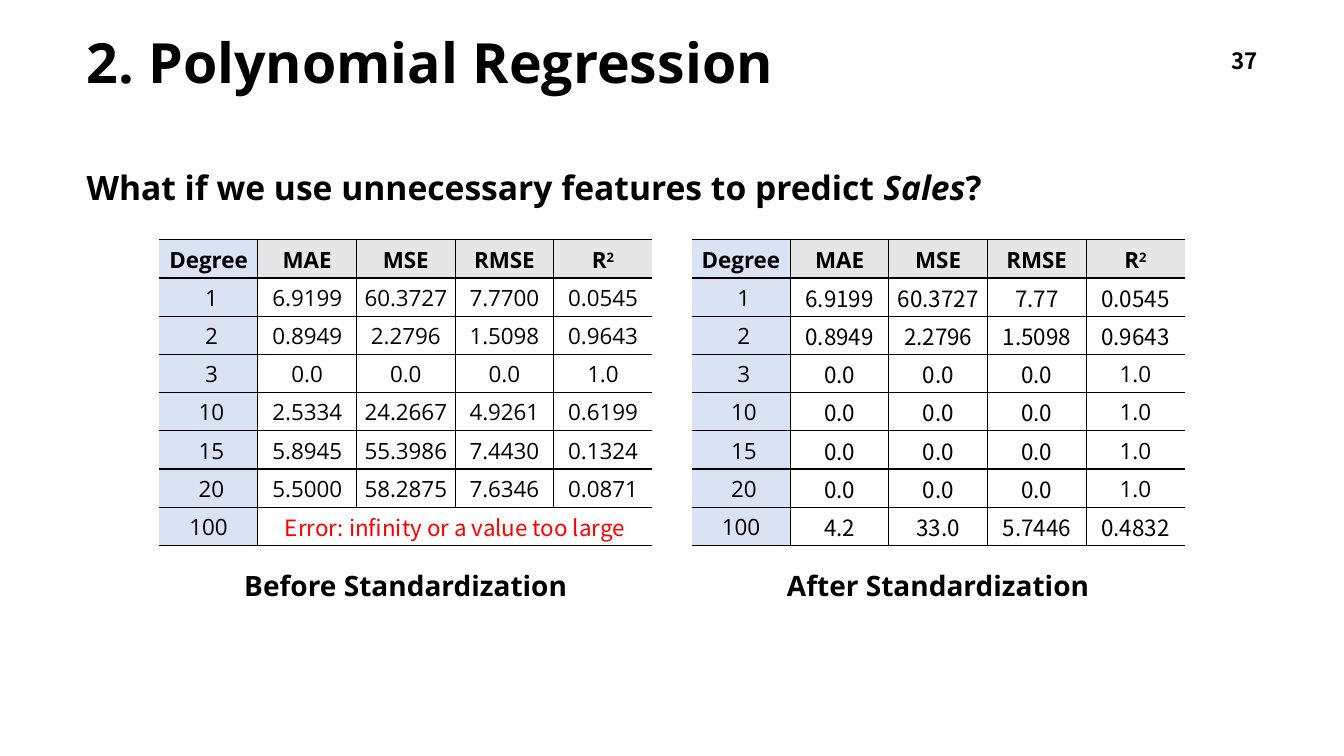
from lxml.etree import SubElement
from pptx import Presentation
from pptx.dml.color import RGBColor
from pptx.enum.text import MSO_ANCHOR, PP_ALIGN
from pptx.oxml.ns import qn
from pptx.util import Inches, Pt

COLORS = {"ink": "000000", "error": "FF0000", "degree": "DAE3F3", "head": "E7E6E6", "plain": "FFFFFF"}
OPEN, NOTO = "Open Sans", "Noto Sans CJK KR"
HEADS = ["Degree", "MAE", "MSE", "RMSE", "R2"]
ERROR = "Error: infinity or a value too large"
BEFORE = [
    [" 1", "6.9199", "60.3727", "7.7700", "0.0545"],
    [" 2", "0.8949", "2.2796", "1.5098", "0.9643"],
    [" 3", "0.0", "0.0", "0.0", "1.0"],
    [" 10", "2.5334", "24.2667", "4.9261", "0.6199"],
    [" 15", "5.8945", "55.3986", "7.4430", "0.1324"],
    [" 20", "5.5000", "58.2875", "7.6346", "0.0871"],
    ["100", ERROR, "", "", ""],
]
AFTER = [
    [" 1", "6.9199", "60.3727", "7.77", "0.0545"],
    [" 2", "0.8949", "2.2796", "1.5098", "0.9643"],
    *[[degree, "0.0", "0.0", "0.0", "1.0"] for degree in (" 3", " 10", " 15", " 20")],
    ["100", "4.2", "33.0", "5.7446", "0.4832"],
]


class Deck:
    """Draws styled text and tables on one slide."""

    def __init__(self):
        self.prs = Presentation()
        self.prs.slide_width, self.prs.slide_height = Inches(13.33), Inches(7.5)
        self.slide = self.prs.slides.add_slide(self.prs.slide_layouts[6])

    def run(self, para, text, size, font=OPEN, bold=True, italic=False, color="ink"):
        run = para.add_run()
        run.text = text
        run.font.size, run.font.name = Pt(size), font
        run.font.bold, run.font.italic = bold, italic
        run.font.color.rgb = RGBColor.from_string(COLORS[color])
        return run

    def text(self, box, parts, size, font=OPEN, align=PP_ALIGN.LEFT, anchor=MSO_ANCHOR.TOP):
        frame = self.slide.shapes.add_textbox(*map(Inches, box)).text_frame
        frame.word_wrap, frame.vertical_anchor = True, anchor
        para = frame.paragraphs[0]
        para.alignment = align
        for words, italic in parts:
            self.run(para, words, size, font, italic=italic)
        return para

    def border(self, cell, side, width):
        props = cell._tc.get_or_add_tcPr()
        line = SubElement(props, qn("a:ln" + side), w=str(Pt(width)))
        if width:
            fill = SubElement(line, qn("a:solidFill"))
            SubElement(fill, qn("a:srgbClr"), val=COLORS["ink"])
        else:
            SubElement(line, qn("a:noFill"))

    def cell(self, cell, row, col, text, font, merged):
        def edge(n):
            if n in (0, len(HEADS)) or merged and n > 1:
                return 0
            return 1 if n <= 2 else 0.75

        for side, width in zip("LRTB", (edge(col), edge(col + 1), 1, 1)):
            self.border(cell, side, width)
        cell.fill.solid()
        tint = "degree" if col == 0 else "head" if row == 0 else "plain"
        cell.fill.fore_color.rgb = RGBColor.from_string(COLORS[tint])
        cell.vertical_anchor = MSO_ANCHOR.MIDDLE
        if row:
            cell.margin_left = cell.margin_right = cell.margin_top = Inches(0.01)
            cell.margin_bottom = 0
        else:
            cell.margin_left = cell.margin_right = Inches(0.09)
        para = cell.text_frame.paragraphs[0]
        para.alignment = PP_ALIGN.CENTER
        if text == "R2":
            self.run(para, "R", 16)
            power = self.run(para, "2", 16)
            power.font._element.set("baseline", "30000")
        elif text == ERROR:
            self.run(para, text, 16, NOTO, False, color="error")
        elif text:
            face = OPEN if row == 0 or col == 0 or text == "1.0" else font
            self.run(para, text, 16, face, bold=row == 0)

    def table(self, left, rows, font):
        rows = [HEADS, *rows]
        place = map(Inches, (left, 2.38, 4.89, 3.03))
        table = self.slide.shapes.add_table(len(rows), len(HEADS), *place).table
        table.first_row = table.horz_banding = False
        for r, values in enumerate(rows):
            merged = ERROR in values
            for c, text in enumerate(values):
                self.cell(table.cell(r, c), r, c, text, font, merged)
            if merged:
                table.cell(r, 1).merge(table.cell(r, len(HEADS) - 1))


def main():
    deck = Deck()
    title = deck.text((0.76, 0.4, 11.61, 0.5), [("2. Polynomial Regression", False)], 39.6,
                      anchor=MSO_ANCHOR.MIDDLE)
    title.line_spacing = 0.9
    ask = [("What if we use unnecessary features to predict ", False), ("Sales", True), ("?", False)]
    body = deck.text((0.76, 1.41, 11.81, 5.44), ask, 24)
    body.line_spacing, body.space_before = 1.5, Pt(10)
    deck.text((9.57, 0.4, 3, 0.4), [("37", False)], 16, NOTO, PP_ALIGN.RIGHT, MSO_ANCHOR.MIDDLE)
    deck.table(1.58, BEFORE, OPEN)
    deck.table(6.86, AFTER, NOTO)
    for left, when in ((2.23, "Before"), (7.51, "After")):
        deck.text((left, 5.59, 3.59, 0.44), [(when + " Standardization", False)], 20,
                  align=PP_ALIGN.CENTER)
    deck.prs.save("out.pptx")


if __name__ == "__main__":
    main()
